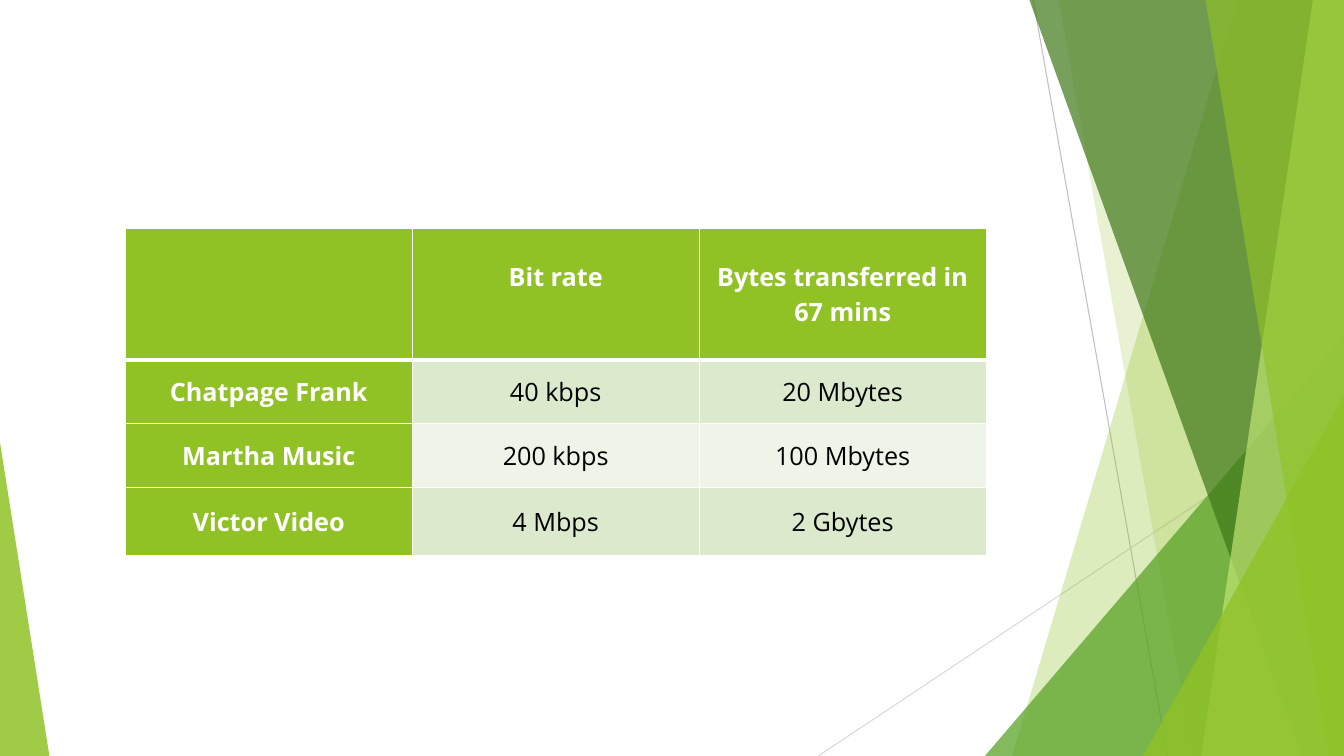
from lxml import etree
from pptx import Presentation
from pptx.dml.color import RGBColor
from pptx.enum.shapes import MSO_CONNECTOR, MSO_SHAPE
from pptx.enum.text import MSO_ANCHOR, PP_ALIGN
from pptx.oxml.ns import qn
from pptx.util import Pt

STRAIGHT = MSO_CONNECTOR.STRAIGHT
TRIANGLE = MSO_SHAPE.ISOSCELES_TRIANGLE
MIDDLE = MSO_ANCHOR.MIDDLE
CENTER = PP_ALIGN.CENTER

SLIDE_WIDTH, SLIDE_HEIGHT = 960, 540
BAND_TOP = -0.6
LINE_HEIGHT = 24.5
COLORS = {
    "lime": "90C226", "green": "54A021", "forest": "3F7819", "pale lime": "C0E474",
    "steep line": "BFBFBF", "shallow line": "D9D9D9",
    "odd row": "DBE9CD", "even row": "EEF4E8", "white": "FFFFFF", "black": "000000",
}
RATES = [
    ["", "Bit rate", "Bytes transferred in 67 mins"],
    ["Chatpage Frank", "40 kbps", "20 Mbytes"],
    ["Martha Music", "200 kbps", "100 Mbytes"],
    ["Victor Video", "4 Mbps", "2 Gbytes"],
]
COLUMN_WIDTH = 205
ROW_HEIGHTS = [94.3, 45.2, 45.7, 49]
CELL_FORMAT = {
    "vertical_anchor": MIDDLE, "margin_left": Pt(5), "margin_right": Pt(5),
    "margin_top": Pt(0), "margin_bottom": Pt(0),
}
FONT_FORMAT = {"name": "Open Sans", "size": Pt(18)}


def rgb(color):
    return RGBColor.from_string(COLORS[color])


def set_format(target, values):
    for name, value in values.items():
        setattr(target, name, value)


def paint(shape, color, opacity):
    shape.shadow.inherit = False
    shape.line.fill.background()
    shape.fill.solid()
    shape.fill.fore_color.rgb = rgb(color)
    tint = shape.fill._xPr.find(qn("a:solidFill"))[0]
    etree.SubElement(tint, qn("a:alpha"), val=str(opacity * 1000))


def add_hairline(slide, start, end, color):
    hairline = slide.shapes.add_connector(STRAIGHT, *map(Pt, start + end))
    hairline.line.color.rgb = rgb(color)
    hairline.line.width = Pt(0.75)
    etree.SubElement(hairline._element.spPr, qn("a:effectLst"))


def add_band(slide, top_x, bottom_x, color, opacity):
    outline = slide.shapes.build_freeform(top_x, BAND_TOP, scale=Pt(1))
    outline.add_line_segments([
        (SLIDE_WIDTH, BAND_TOP), (SLIDE_WIDTH, SLIDE_HEIGHT), (bottom_x, SLIDE_HEIGHT),
    ])
    paint(outline.convert_to_shape(), color, opacity)


def add_corner(slide, left, top, width, apex, color, opacity):
    corner = slide.shapes.add_shape(
        TRIANGLE, Pt(left), Pt(top), Pt(width), Pt(SLIDE_HEIGHT - top))
    corner.adjustments[0] = apex
    paint(corner, color, opacity)


def add_borders(cell, widths):
    properties = cell._tc.get_or_add_tcPr()
    for index, (side, width) in enumerate(widths.items()):
        border = etree.Element(qn(f"a:{side}"), w=str(Pt(width)))
        fill = etree.SubElement(border, qn("a:solidFill"))
        etree.SubElement(fill, qn("a:srgbClr"), val=COLORS["white"])
        properties.insert(index, border)


def fill_cell(cell, text, row, column):
    heading = row == 0 or column == 0
    stripe = "odd row" if row % 2 else "even row"
    set_format(cell, CELL_FORMAT)
    cell.fill.solid()
    cell.fill.fore_color.rgb = rgb("lime" if heading else stripe)
    add_borders(cell, {
        "lnL": 1, "lnR": 1, "lnT": 3 if row == 1 else 1, "lnB": 3 if row == 0 else 1,
    })
    cell.text = text
    paragraph = cell.text_frame.paragraphs[0]
    paragraph.alignment = CENTER
    set_format(paragraph.font, {**FONT_FORMAT, "bold": heading})
    for run in paragraph.runs:
        set_format(run.font, {**FONT_FORMAT, "bold": heading})
        run.font.color.rgb = rgb("white" if heading else "black")


def add_rate_table(slide, left, top):
    rates = slide.shapes.add_table(
        len(RATES), len(RATES[0]), Pt(left), Pt(top),
        Pt(COLUMN_WIDTH * len(RATES[0])), Pt(sum(ROW_HEIGHTS))).table
    for column in rates.columns:
        column.width = Pt(COLUMN_WIDTH)
    for row, (height, texts) in enumerate(zip(ROW_HEIGHTS, RATES)):
        rates.rows[row].height = Pt(height)
        for column, text in enumerate(texts):
            fill_cell(rates.cell(row, column), text, row, column)
    rates.cell(0, 1).margin_bottom = Pt(LINE_HEIGHT)


def main():
    presentation = Presentation()
    presentation.slide_width = Pt(SLIDE_WIDTH)
    presentation.slide_height = Pt(SLIDE_HEIGHT)
    slide = presentation.slides.add_slide(presentation.slide_layouts[6])

    add_hairline(slide, (738, 0), (834, 540), "steep line")
    add_hairline(slide, (960, 290), (584.5, 540), "shallow line")
    add_band(slide, 884.5, 723, "lime", 30)
    add_band(slide, 756, 851.5, "lime", 20)
    add_corner(slide, 703.5, 240, 256.5, 1, "green", 72)
    add_band(slide, 735, 929.5, "forest", 70)
    add_band(slide, 938.5, 858, "pale lime", 70)
    add_band(slide, 861, 949, "lime", 65)
    add_corner(slide, 816.5, 283, 143.5, 1, "lime", 80)
    add_corner(slide, 0, 316, 35.3, 0, "lime", 85)
    add_rate_table(slide, 89.5, 163)

    presentation.save("out.pptx")


main()
